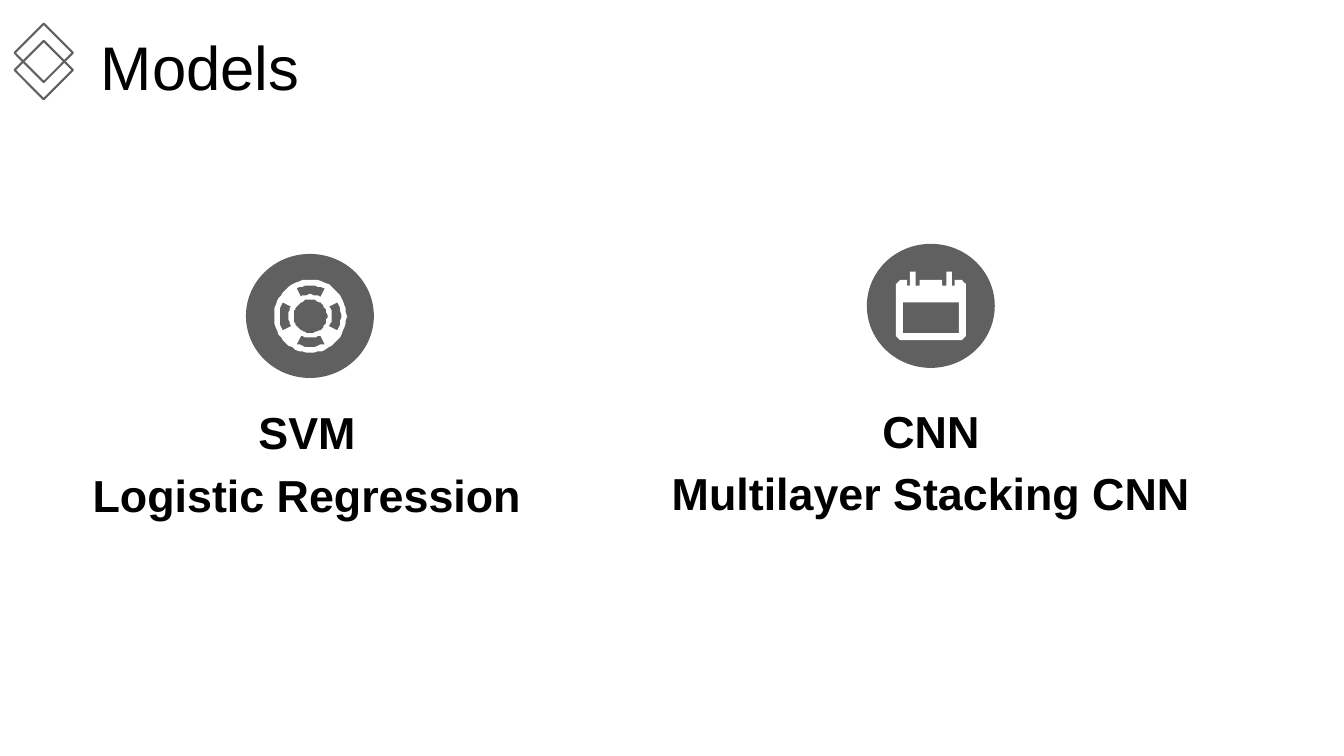
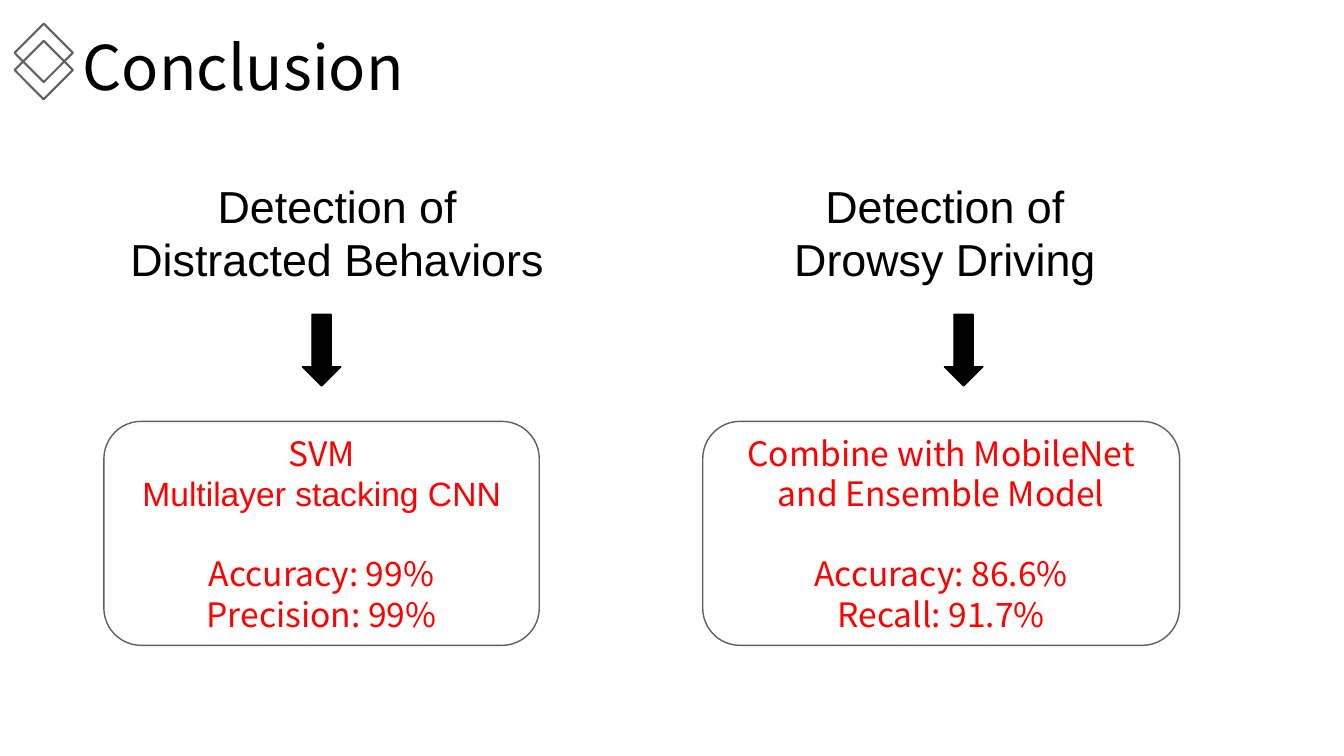
from math import cos, pi, sin

from pptx import Presentation
from pptx.dml.color import RGBColor
from pptx.enum.shapes import MSO_SHAPE
from pptx.enum.text import MSO_ANCHOR, PP_ALIGN
from pptx.util import Pt

GREY = RGBColor(0x60, 0x60, 0x60)
BLACK = RGBColor(0, 0, 0)
WHITE = RGBColor(255, 255, 255)
RED = RGBColor(255, 0, 0)
ARIAL, NOTO = "Arial", "Noto Sans CJK SC"
RECT, OVAL = MSO_SHAPE.RECTANGLE, MSO_SHAPE.OVAL
ROUND, DOWN = MSO_SHAPE.ROUNDED_RECTANGLE, MSO_SHAPE.DOWN_ARROW
LEFT, CENTER = PP_ALIGN.LEFT, PP_ALIGN.CENTER
MIDDLE = MSO_ANCHOR.MIDDLE


def paint(shape, fill=None, line=None, width=1):
    shape.shadow.inherit = False
    if fill is None:
        shape.fill.background()
    else:
        shape.fill.solid()
        shape.fill.fore_color.rgb = fill
    if line is None:
        shape.line.fill.background()
    else:
        shape.line.color.rgb = line
        shape.line.width = Pt(width)


def write(shape, rows, size, color, align=CENTER, bold=False):
    """Fill a shape with rows of (text, font, space before)."""
    frame = shape.text_frame
    frame.word_wrap = True
    for i, (text, font, gap) in enumerate(rows):
        para = frame.add_paragraph() if i else frame.paragraphs[0]
        para.text = text
        para.alignment = align
        para.space_before = Pt(gap)
        para.font.name = font
        para.font.size = Pt(size)
        para.font.bold = bold
        para.font.color.rgb = color
    return frame


deck = Presentation()
deck.slide_width, deck.slide_height = Pt(960), Pt(540)

# Shared title and diamond mark
pages = []
for title, font, x, w in (("Models", ARIAL, 65, 194),
                          ("Conclusion", NOTO, 52, 688)):
    page = deck.slides.add_slide(deck.slide_layouts[6])
    box = page.shapes.add_textbox(Pt(x), Pt(17.3), Pt(w), Pt(60.5))
    write(box, [(title, font, 0)], 44, BLACK, LEFT)
    for y in (35.3, 23):
        mark = page.shapes.add_shape(RECT, Pt(16.5), Pt(y), Pt(29.5), Pt(29.5))
        mark.rotation = 45
        paint(mark, line=GREY, width=1.5)
    pages.append(page.shapes)
models, ending = pages

# Models: discs and captions
for x, y in ((175.7, 181.4), (619.2, 174.2)):
    disc = models.add_shape(OVAL, Pt(x), Pt(y), Pt(91.4), Pt(88.6))
    paint(disc, GREY)
for x, y, w, names in (
        (64.8, 289.4, 309, ("SVM", "Logistic Regression")),
        (478, 288, 374, ("CNN", "Multilayer Stacking CNN"))):
    box = models.add_textbox(Pt(x), Pt(y), Pt(w), Pt(85))
    rows = [(name, ARIAL, 6.4 * i) for i, name in enumerate(names)]
    frame = write(box, rows, 32, BLACK, bold=True)
    frame.margin_left = frame.margin_right = 0
    frame.margin_top = frame.margin_bottom = 0

# Lifebuoy: two circles and four curved slots, as (radius, degrees)
buoy = [[(r, a) for a in range(0, 360, 6)] for r in (26, 12)]
for mid in range(0, 360, 90):
    arc = range(mid - 27, mid + 28, 6)
    buoy.append([(22, a) for a in arc] + [(15.5, a) for a in reversed(arc)])
buoy = [[(221.6 + r * cos(a * pi / 180), 225.9 + r * sin(a * pi / 180))
         for r, a in ring] for ring in buoy]

# Calendar: notched page with rounded corners, window and two pegs
page = []
for x, y, start in ((645.1, 204.5, 180), (684.7, 204.5, 270),
                    (684.7, 238.3, 0), (645.1, 238.3, 90)):
    page += [(x + 5 * cos(a * pi / 180), y + 5 * sin(a * pi / 180))
             for a in range(start, start + 91, 15)]
    if start == 180:
        for left in (648, 673.2):
            page += [(left, 199.5), (left, 204.5),
                     (left + 8.8, 204.5), (left + 8.8, 199.5)]
calendar = [page]
for x, y, w, h in ((645.1, 216, 39.6, 22.3), (650.3, 193.7, 3.8, 10),
                   (676.2, 193.7, 3.8, 10)):
    calendar.append([(x, y), (x + w, y), (x + w, y + h), (x, y + h)])

for icon in (buoy, calendar):
    pen = models.build_freeform(*icon[0][0], scale=Pt(1))
    for i, ring in enumerate(icon):
        if i:
            pen.move_to(*ring[0])
        pen.add_line_segments(ring[1:], close=True)
    paint(pen.convert_to_shape(), WHITE)

# Conclusion: heading, arrow and result in each column
columns = (
    ((74.2, 333.4, ["Detection of Distracted Behaviors"]), 216,
     (74.2, 311, [("SVM", NOTO, 0), ("Multilayer stacking CNN", ARIAL, 0),
                  ("Accuracy: 99%", NOTO, 28.5), ("Precision: 99%", NOTO, 0)])),
    ((530, 290, ["Detection of", "Drowsy Driving"]), 674.6,
     (502, 340.6, [("Combine with MobileNet and Ensemble Model", NOTO, 0),
                   ("Accuracy: 86.6%", NOTO, 28.5),
                   ("Recall: 91.7%", NOTO, 0)])),
)
for (x, w, heads), tip, (left, wide, rows) in columns:
    box = ending.add_textbox(Pt(x), Pt(123.8), Pt(w), Pt(85))
    write(box, [(head, ARIAL, 0) for head in heads], 32, BLACK)
    arrow = ending.add_shape(DOWN, Pt(tip), Pt(224.6), Pt(27.4), Pt(51.1))
    paint(arrow, BLACK, BLACK)
    card = ending.add_shape(ROUND, Pt(left), Pt(301), Pt(wide), Pt(160))
    paint(card, line=GREY)
    write(card, rows, 24, RED).vertical_anchor = MIDDLE

deck.save("out.pptx")
